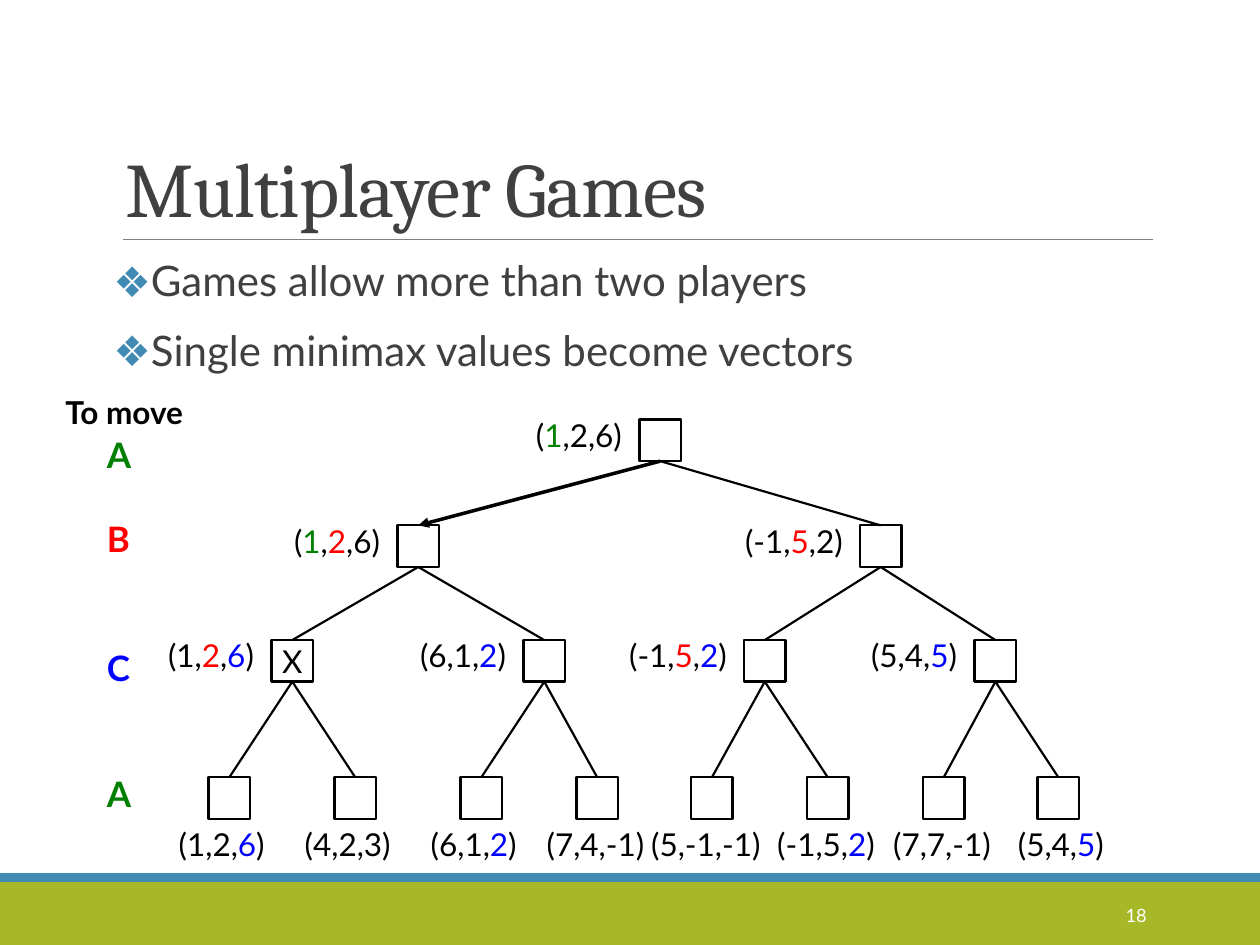
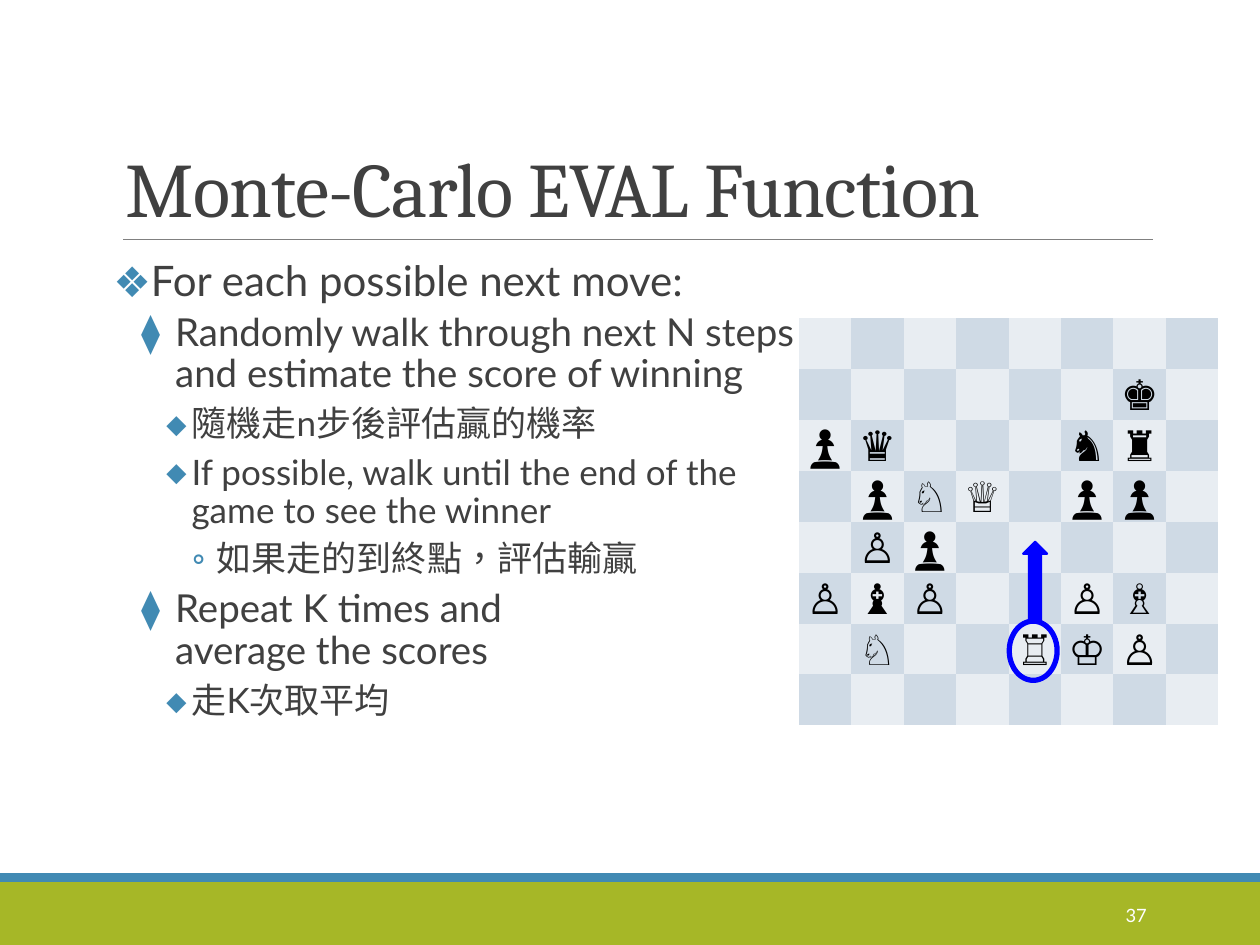
from lxml import etree
from pptx import Presentation
from pptx.dml.color import RGBColor
from pptx.enum.shapes import MSO_CONNECTOR, MSO_SHAPE
from pptx.enum.text import MSO_ANCHOR, MSO_AUTO_SIZE, PP_ALIGN
from pptx.oxml.ns import qn
from pptx.util import Inches, Pt

RECT, OVAL, UP_ARROW = MSO_SHAPE.RECTANGLE, MSO_SHAPE.OVAL, MSO_SHAPE.UP_ARROW
STRAIGHT = MSO_CONNECTOR.STRAIGHT
TOP, MIDDLE, BOTTOM = MSO_ANCHOR.TOP, MSO_ANCHOR.MIDDLE, MSO_ANCHOR.BOTTOM
LEFT, CENTER, RIGHT = PP_ALIGN.LEFT, PP_ALIGN.CENTER, PP_ALIGN.RIGHT
FIT = MSO_AUTO_SIZE.SHAPE_TO_FIT_TEXT

LIME = RGBColor(0xA6, 0xB7, 0x27)
TEAL = RGBColor(0x41, 0x8A, 0xB3)
GRAY = RGBColor(0x80, 0x80, 0x80)
DARK = RGBColor(0x40, 0x40, 0x40)
BLACK = RGBColor(0, 0, 0)
WHITE = RGBColor(0xFF, 0xFF, 0xFF)
GREEN = RGBColor(0, 0x80, 0)
RED = RGBColor(0xFF, 0, 0)
BLUE = RGBColor(0, 0, 0xFF)
LIGHT_SQUARE = RGBColor(0xE8, 0xED, 0xF2)
DARK_SQUARE = RGBColor(0xCF, 0xDA, 0xE5)

HEAD_FONT, BODY_FONT = "Cambria", "Lato"
NO_TABLE_STYLE = "{2D5ABB26-0587-4C30-8999-92F81FD0307C}"
TITLE_BOX = (0.9, 0.31, 8.25, 1.59)
BODY_BOX = (0.9, 2.02, 8.25, 4.4)

# level: bullet, its percent size, left margin, hanging indent, size, space before, after
LEVELS = [
    ("❖", 100, 0.29, 0.29, 24, 12, 2),
    ("⧫", 100, 0.49, 0.27, 22, 2, 4),
    ("◆", 75, 0.62, 0.2, 20, 2, 4),
    ("◦", 100, 0.82, 0.2, 20, 2, 4),
]

PLAYERS = {"A": GREEN, "B": RED, "C": BLUE}
MOVERS = [("A", 0.32), ("B", 0.99), ("C", 2.01), ("A", 3.01)]
NODE = 0.33
ROW_TOPS = [0.26, 1.1, 2.01, 3.1]
ROW_CENTERS = [
    [4.82],
    [2.9, 6.57],
    [1.9, 3.9, 5.65, 7.48],
    [1.4, 2.4, 3.4, 4.32, 5.23, 6.15, 7.07, 7.98],
]
# values with the players whose entry is coloured
ROW_VALUES = [
    [("1,2,6", "A")],
    [("1,2,6", "AB"), ("-1,5,2", "B")],
    [("1,2,6", "BC"), ("6,1,2", "C"), ("-1,5,2", "BC"), ("5,4,5", "C")],
    [("1,2,6", "C"), ("4,2,3", ""), ("6,1,2", "C"), ("7,4,-1", ""),
     ("5,-1,-1", ""), ("-1,5,2", "C"), ("7,7,-1", ""), ("5,4,5", "C")],
]
LEAF_LABEL_SHIFTS = [0.5, 0.5, 0.5, 0.5, 0.58, 0.5, 0.5, 0.42]

BOARD = [
    "        ",
    "      ♚ ",
    "♟♛   ♞♜ ",
    " ♟♘♕ ♟♟ ",
    " ♙♟     ",
    "♙♝♙  ♙♗ ",
    " ♘  ♖♔♙ ",
    "        ",
]


def inches(*values):
    """Turn numbers into lengths."""
    return [Inches(v) for v in values]


def style(r, size, color, bold=False, font=BODY_FONT):
    """Format one run."""
    r.font.name, r.font.size, r.font.bold = font, Pt(size), bold
    r.font.color.rgb = color


def add_text(slide, box, pieces, size, bold=False, font=BODY_FONT,
             anchor=TOP, align=LEFT, wrap=False):
    """Add a one-paragraph text box from (text, colour) pieces."""
    tf = slide.shapes.add_textbox(*inches(*box)).text_frame
    tf.word_wrap, tf.vertical_anchor = wrap, anchor
    if not wrap:
        tf.auto_size = FIT
    p = tf.paragraphs[0]
    p.alignment = align
    for text, color in pieces:
        r = p.add_run()
        r.text = text
        style(r, size, color, bold, font)
    return p


def add_shape(slide, kind, box, fill=None, line=None, width=1.25):
    """Add a flat preset shape."""
    sp = slide.shapes.add_shape(kind, *inches(*box))
    sp.shadow.inherit = False
    if fill is None:
        sp.fill.background()
    else:
        sp.fill.solid()
        sp.fill.fore_color.rgb = fill
    if line is None:
        sp.line.fill.background()
    else:
        sp.line.color.rgb, sp.line.width = line, Pt(width)
    return sp


def add_line(slide, ends, color, width):
    """Add a straight line without a shadow."""
    line = slide.shapes.add_connector(STRAIGHT, *inches(*ends))
    line.line.color.rgb, line.line.width = color, Pt(width)
    etree.SubElement(line._element.spPr, qn("a:effectLst"))
    return line


def add_frame(prs, title, number):
    """Start a slide with its bands, rule, title and page number."""
    slide = prs.slides.add_slide(prs.slide_layouts[6])
    add_shape(slide, RECT, (0, 7, 10, 0.5), LIME)
    add_shape(slide, RECT, (0, 6.93, 10, 0.07), TEAL)
    add_line(slide, (0.98, 1.9, 9.15, 1.9), GRAY, 0.5)
    p = add_text(slide, TITLE_BOX, [(title, DARK)], 44, font=HEAD_FONT,
                 anchor=BOTTOM, wrap=True)
    p.line_spacing = 0.85
    p.runs[0].font._element.set("spc", "-50")
    add_text(slide, (8.12, 7.06, 1.08, 0.4), [(number, WHITE)], 10.5,
             anchor=MIDDLE, align=RIGHT, wrap=True)
    return slide


def add_bullets(slide, box, items):
    """Add a bulleted list of (level, text) items."""
    tf = slide.shapes.add_textbox(*inches(*box)).text_frame
    tf.word_wrap = True
    tf.margin_left = tf.margin_right = 0
    for i, (level, text) in enumerate(items):
        bullet, percent, margin, hanging, size, before, after = LEVELS[level]
        p = tf.add_paragraph() if i else tf.paragraphs[0]
        p.text, p.level, p.line_spacing = text, level, 0.9
        p.space_before, p.space_after = Pt(before), Pt(after)
        for r in p.runs:
            style(r, size, DARK)
            r.font._element.set("lang", "en-US" if text.isascii() else "zh-TW")
        pPr = p._p.get_or_add_pPr()
        pPr.set("marL", str(Inches(margin)))
        pPr.set("indent", str(-Inches(hanging)))
        color = etree.SubElement(pPr, qn("a:buClr"))
        etree.SubElement(color, qn("a:srgbClr"), val=str(TEAL))
        etree.SubElement(pPr, qn("a:buSzPct"), val=str(percent * 1000))
        etree.SubElement(pPr, qn("a:buFont"), typeface=BODY_FONT)
        etree.SubElement(pPr, qn("a:buChar"), char=bullet)


def vector_pieces(values, marked):
    """Split a value vector into coloured pieces."""
    pieces = []
    for player, value in zip(PLAYERS, values.split(",")):
        pieces.append(("," if pieces else "(", BLACK))
        pieces.append((value, PLAYERS[player] if player in marked else BLACK))
    return pieces + [(")", BLACK)]


def add_game_tree(slide, x, y):
    """Draw the three-player tree with its value vectors and movers."""
    rows = [[add_shape(slide, RECT, (x + c - NODE / 2, y + top, NODE, NODE),
                       line=BLACK) for c in centers]
            for top, centers in zip(ROW_TOPS, ROW_CENTERS)]
    tf = rows[2][0].text_frame
    tf.text, tf.word_wrap, tf.vertical_anchor = "X", False, MIDDLE
    tf.paragraphs[0].alignment = CENTER
    style(tf.paragraphs[0].runs[0], 18, BLACK)

    for parents, children in zip(rows, rows[1:]):
        for i, child in enumerate(children):
            best = children is rows[1] and i == 0
            edge = add_line(slide, (0, 0, 0, 0), BLACK, 2 if best else 1.25)
            edge.begin_connect(parents[i // 2], 2)
            edge.end_connect(child, 0)
            if best:
                etree.SubElement(edge.line._get_or_add_ln(), qn("a:tailEnd"),
                                 type="triangle")

    for top, centers, vectors in zip(ROW_TOPS, ROW_CENTERS, ROW_VALUES):
        leaves = centers is ROW_CENTERS[-1]
        for i, (c, (values, marked)) in enumerate(zip(centers, vectors)):
            width = 0.92 + 0.09 * values.count("-")
            shift = LEAF_LABEL_SHIFTS[i] if leaves else NODE / 2 + width
            drop = NODE if leaves else -0.08
            add_text(slide, (x + c - shift, y + top + drop, width, 0.4),
                     vector_pieces(values, marked), 18)

    add_text(slide, (x, y, 1.23, 0.4), [("To move", BLACK)], 18, bold=True)
    for player, top in MOVERS:
        add_text(slide, (x + 0.33, y + top, 0.36, 0.44),
                 [(player, PLAYERS[player])], 20, bold=True)


def add_chess_board(slide, x, y, width, height):
    """Draw the board as a table and mark the rook's move."""
    n = len(BOARD)
    table = slide.shapes.add_table(n, n, *inches(x, y, width, height)).table
    table.first_row = table.horz_banding = False
    table._tbl.tblPr.find(qn("a:tableStyleId")).text = NO_TABLE_STYLE
    for i, rank in enumerate(BOARD):
        for j, piece in enumerate(rank):
            cell = table.cell(i, j)
            cell.fill.solid()
            cell.fill.fore_color.rgb = DARK_SQUARE if (i + j) % 2 else LIGHT_SQUARE
            cell.margin_left = cell.margin_right = 0
            cell.margin_top = cell.margin_bottom = 0
            cell.vertical_anchor = MIDDLE
            if piece != " ":
                p = cell.text_frame.paragraphs[0]
                p.text, p.alignment = piece, CENTER
                style(p.runs[0], 24, BLACK)
    add_shape(slide, OVAL, (x + 1.67, y + 2.41, 0.38, 0.47), line=BLUE, width=3)
    add_shape(slide, UP_ARROW, (x + 1.78, y + 1.78, 0.19, 0.63), BLUE, BLUE)


def build_multiplayer(prs):
    """Build the slide on games with several players."""
    slide = add_frame(prs, "Multiplayer Games", "18")
    add_bullets(slide, BODY_BOX, [
        (0, "Games allow more than two players"),
        (0, "Single minimax values become vectors"),
    ])
    add_game_tree(slide, 0.42, 3.07)


def build_monte_carlo(prs):
    """Build the slide on evaluation by random walks."""
    slide = add_frame(prs, "Monte-Carlo EVAL Function", "37")
    add_bullets(slide, BODY_BOX, [
        (0, "For each possible next move:"),
        (1, "Randomly walk through next N steps\nand estimate the score of winning"),
        (2, "隨機走n步後評估贏的機率"),
        (2, "If possible, walk until the end of the\ngame to see the winner"),
        (3, "如果走的到終點，評估輸贏"),
        (1, "Repeat K times and\naverage the scores"),
        (2, "走K次取平均"),
    ])
    add_chess_board(slide, 6.34, 2.52, 3.33, 3.24)


def main():
    """Build and save the presentation."""
    prs = Presentation()
    prs.slide_width, prs.slide_height = inches(10, 7.5)
    build_multiplayer(prs)
    build_monte_carlo(prs)
    prs.save("out.pptx")


if __name__ == "__main__":
    main()
